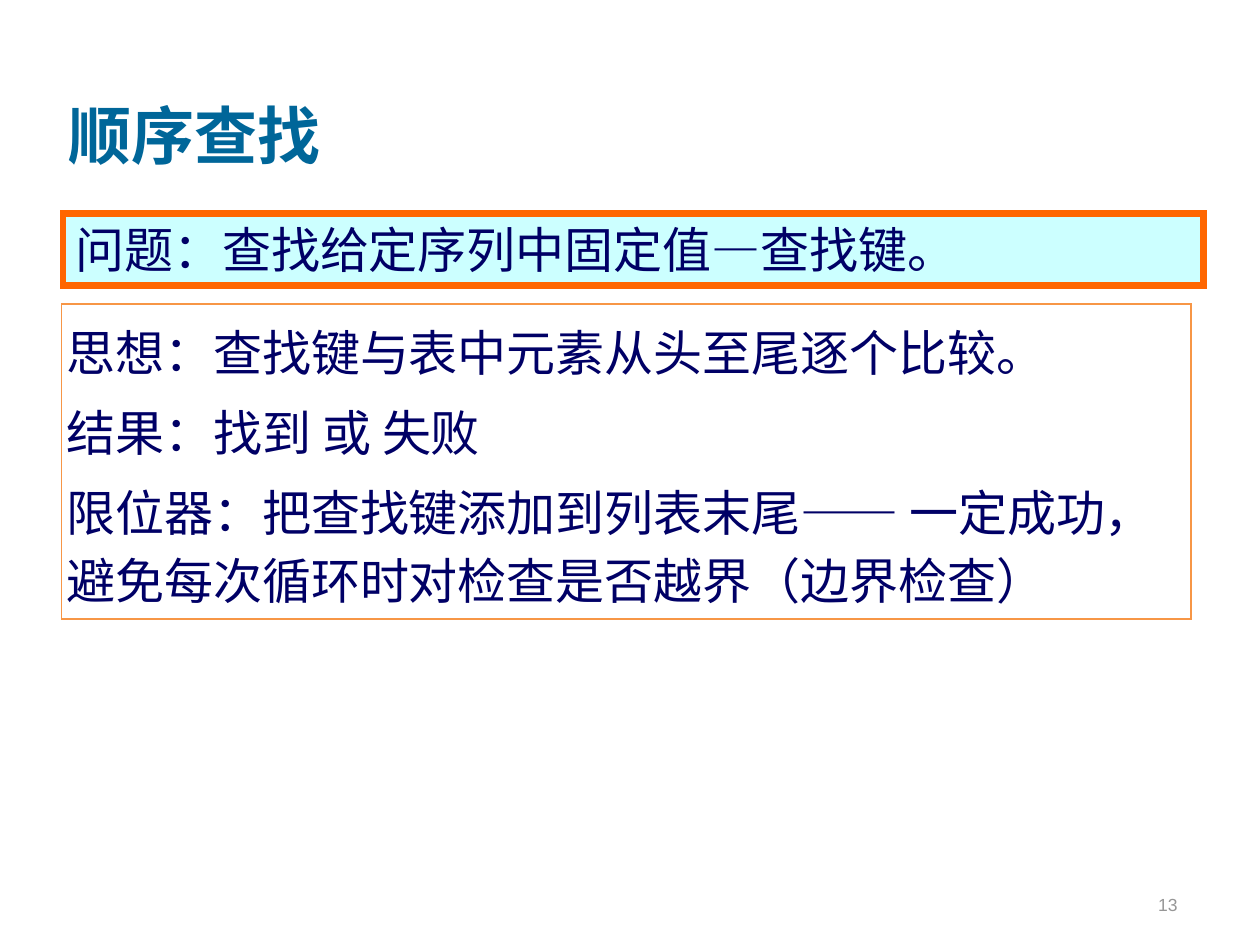
from dataclasses import dataclass
from typing import Optional

from lxml.etree import SubElement
from pptx import Presentation
from pptx.dml.color import RGBColor
from pptx.enum.shapes import MSO_SHAPE as ShapeKind
from pptx.enum.text import MSO_ANCHOR as Anchor, PP_ALIGN as Align
from pptx.oxml.ns import qn
from pptx.util import Pt

COLORS = {
    "title": "006699",
    "number": "969696",
    "text": "000066",
    "problem_fill": "CCFFFF",
    "problem_line": "FF6600",
    "idea_fill": "FFFFFF",
    "idea_line": "F79646",
}


@dataclass(frozen=True)
class TextStyle:
    font: str
    size: float
    color: str
    bold: bool = False
    align: Align = Align.LEFT
    anchor: Anchor = Anchor.TOP
    line_spacing: float = 1.0
    space_before: float = 0


@dataclass(frozen=True)
class Frame:
    fill: str
    line: str
    width: float


@dataclass(frozen=True)
class Block:
    left: float
    top: float
    width: float
    height: float
    lines: tuple[str, ...]
    style: TextStyle
    frame: Optional[Frame] = None
    inset_x: float = 7.2
    inset_y: float = 3.6


TITLE = Block(
    32.2, 11.7, 612, 90, ("顺序查找",),
    TextStyle("TeX Gyre Pagella", 36, "title", bold=True, anchor=Anchor.BOTTOM))
PAGE_NUMBER = Block(
    530, 490.3, 150, 36, ("13",),
    TextStyle("Arial", 10, "number", align=Align.RIGHT,
              anchor=Anchor.BOTTOM, space_before=6.2))
PROBLEM = Block(
    36, 122, 651.6, 41, ("问题：查找给定序列中固定值—查找键。",),
    TextStyle("Times New Roman", 28, "text"),
    Frame("problem_fill", "problem_line", 4))
IDEA = Block(
    35.2, 173.7, 645.4, 180,
    ("思想：查找键与表中元素从头至尾逐个比较。",
     "结果：找到 或 失败",
     "限位器：把查找键添加到列表末尾—— 一定成功，避免每次循环时对检查是否越界（边界检查）"),
    TextStyle("Times New Roman", 28, "text", line_spacing=1.15, space_before=7),
    Frame("idea_fill", "idea_line", 0.75), inset_x=2.8, inset_y=5.8)


def color(name: str) -> RGBColor:
    return RGBColor.from_string(COLORS[name])


def apply(target, values: dict) -> None:
    for name, value in values.items():
        setattr(target, name, value)


def write_text(text_frame, block: Block) -> None:
    style = block.style
    apply(text_frame, {
        "word_wrap": True,
        "vertical_anchor": style.anchor,
        "margin_left": Pt(block.inset_x),
        "margin_right": Pt(block.inset_x),
        "margin_top": Pt(block.inset_y),
        "margin_bottom": Pt(block.inset_y),
    })
    for index, line in enumerate(block.lines):
        para = text_frame.add_paragraph() if index else text_frame.paragraphs[0]
        apply(para, {
            "alignment": style.align,
            "line_spacing": style.line_spacing,
            "space_before": Pt(style.space_before),
        })
        span = para.add_run()
        span.text = line
        apply(span.font, {"name": style.font, "size": Pt(style.size), "bold": style.bold})
        span.font.color.rgb = color(style.color)


def paint_frame(box, frame: Frame) -> None:
    box.shadow.inherit = False
    box.fill.solid()
    box.fill.fore_color.rgb = color(frame.fill)
    box.line.color.rgb = color(frame.line)
    box.line.width = Pt(frame.width)
    outline = box.element.spPr.find(qn("a:ln"))
    SubElement(outline, qn("a:miter"), lim="800000")


def draw_block(page, block: Block) -> None:
    place = [Pt(value) for value in (block.left, block.top, block.width, block.height)]
    if block.frame:
        box = page.shapes.add_shape(ShapeKind.RECTANGLE, *place)
        paint_frame(box, block.frame)
    else:
        box = page.shapes.add_textbox(*place)
    write_text(box.text_frame, block)


def main() -> None:
    deck = Presentation()
    apply(deck, {"slide_width": Pt(720), "slide_height": Pt(540)})
    page = deck.slides.add_slide(deck.slide_layouts[6])
    for block in (TITLE, PAGE_NUMBER, PROBLEM, IDEA):
        draw_block(page, block)
    deck.save("out.pptx")


if __name__ == "__main__":
    main()
